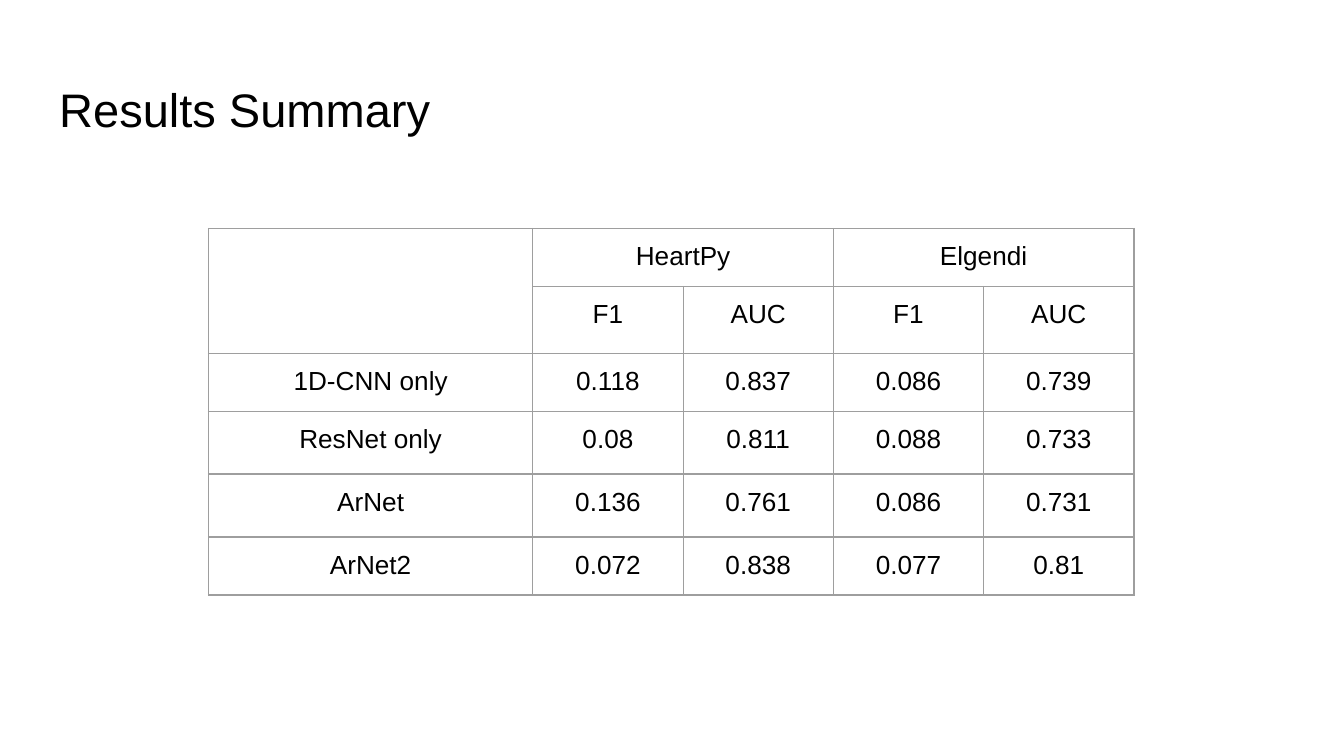
import lxml.etree
import pptx
import pptx.dml.color
import pptx.enum.text
import pptx.oxml.ns
import pptx.util

Cm = pptx.util.Cm
Pt = pptx.util.Pt
ALIGN = pptx.enum.text.PP_ALIGN
ANCHOR = pptx.enum.text.MSO_ANCHOR

FONT = "Arial"
BLACK = "000000"
GRID_GRAY = "9E9E9E"
INSET = Cm(0.25)

COLUMN_WIDTHS = [6.13] + [2.84] * 4
ROW_HEIGHTS = [1.07, 1.21, 1.06, 1.19, 1.19, 1.06]
RESULTS = [
    ["", "HeartPy", "", "Elgendi", ""],
    ["", "F1", "AUC", "F1", "AUC"],
    ["1D-CNN only", "0.118", "0.837", "0.086", "0.739"],
    ["ResNet only", "0.08", "0.811", "0.088", "0.733"],
    ["ArNet", "0.136", "0.761", "0.086", "0.731"],
    ["ArNet2", "0.072", "0.838", "0.077", "0.81"],
]
# Each merge runs from (row, column) to (row, column).
HEADER_MERGES = [((0, 0), (1, 0)), ((0, 1), (0, 2)), ((0, 3), (0, 4))]


def rgb(color):
    return pptx.dml.color.RGBColor.from_string(color)


def write_text(frame, text, size=14, color=BLACK, align=ALIGN.LEFT):
    paragraph = frame.paragraphs[0]
    paragraph.alignment = align
    run = paragraph.add_run()
    run.text = text
    run.font.name = FONT
    run.font.size = Pt(size)
    run.font.color.rgb = rgb(color)


def set_insets(holder):
    holder.margin_left = holder.margin_right = INSET
    holder.margin_top = holder.margin_bottom = INSET


def add_title(slide, text):
    box = slide.shapes.add_textbox(Cm(0.87), Cm(1.24), Cm(23.67), Cm(1.6))
    frame = box.text_frame
    frame.word_wrap = True
    frame.vertical_anchor = ANCHOR.BOTTOM
    set_insets(frame)
    write_text(frame, text, size=25.2)


def set_borders(cell, color, width):
    qn = pptx.oxml.ns.qn
    properties = cell._tc.get_or_add_tcPr()
    for side in ("lnL", "lnR", "lnT", "lnB"):
        line = lxml.etree.SubElement(properties, qn(f"a:{side}"), w=str(Pt(width)))
        fill = lxml.etree.SubElement(line, qn("a:solidFill"))
        lxml.etree.SubElement(fill, qn("a:srgbClr"), val=color)


def add_results_table(slide):
    frame = slide.shapes.add_table(
        len(ROW_HEIGHTS), len(COLUMN_WIDTHS), Cm(3.94), Cm(4.32),
        Cm(sum(COLUMN_WIDTHS)), Cm(sum(ROW_HEIGHTS)))
    table = frame.table
    table.first_row = False
    table.horz_banding = False
    for column, width in zip(table.columns, COLUMN_WIDTHS):
        column.width = Cm(width)
    for row, height in zip(table.rows, ROW_HEIGHTS):
        row.height = Cm(height)
    for row, texts in zip(table.rows, RESULTS):
        for cell, text in zip(row.cells, texts):
            set_insets(cell)
            set_borders(cell, GRID_GRAY, 0.75)
            cell.fill.background()
            if text:
                write_text(cell.text_frame, text, align=ALIGN.CENTER)
    for first, last in HEADER_MERGES:
        table.cell(*first).merge(table.cell(*last))


def main():
    presentation = pptx.Presentation()
    presentation.slide_width = Cm(25.4)
    presentation.slide_height = Cm(14.29)
    slide = presentation.slides.add_slide(presentation.slide_layouts[6])
    add_title(slide, "Results Summary")
    add_results_table(slide)
    presentation.save("out.pptx")


if __name__ == "__main__":
    main()
